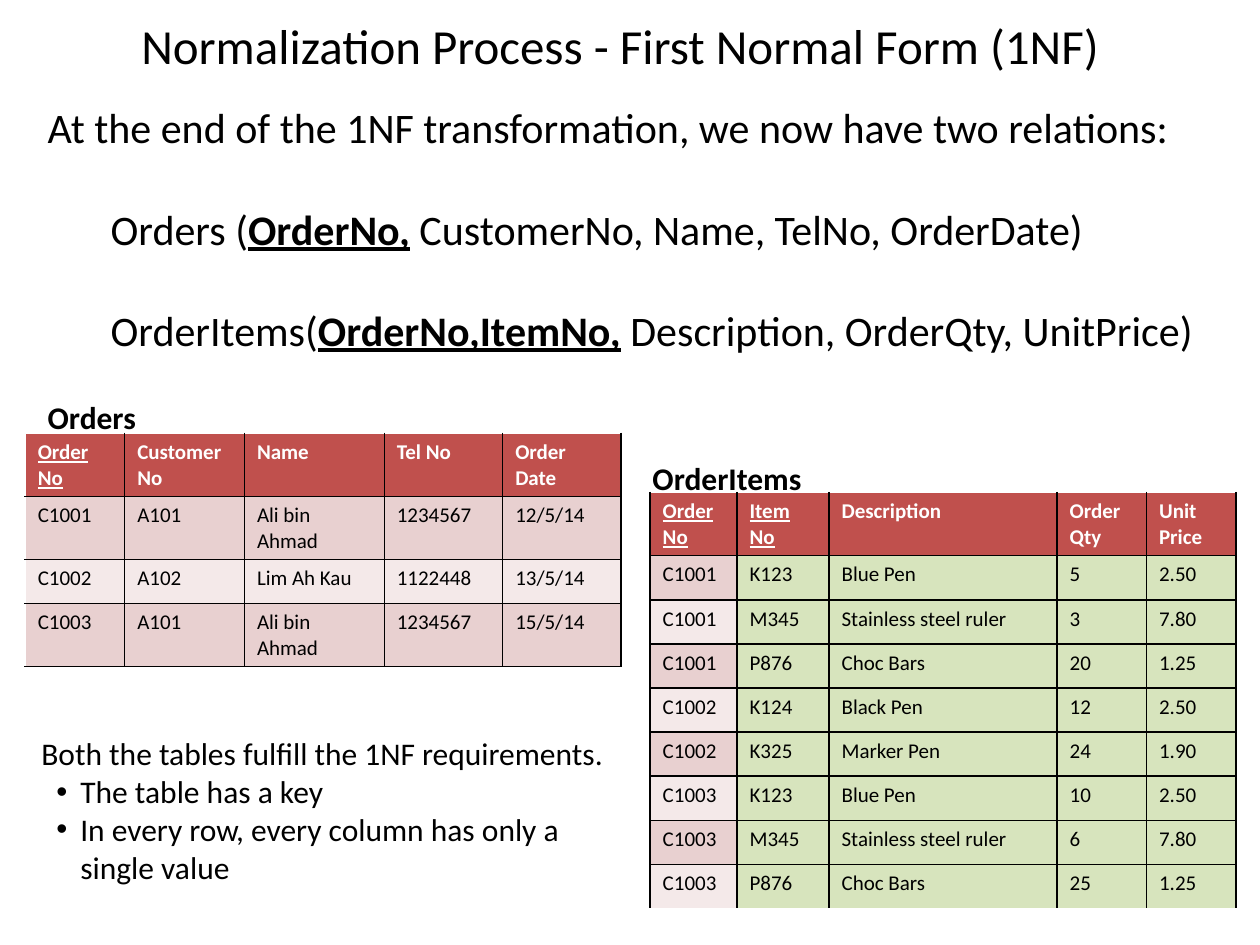
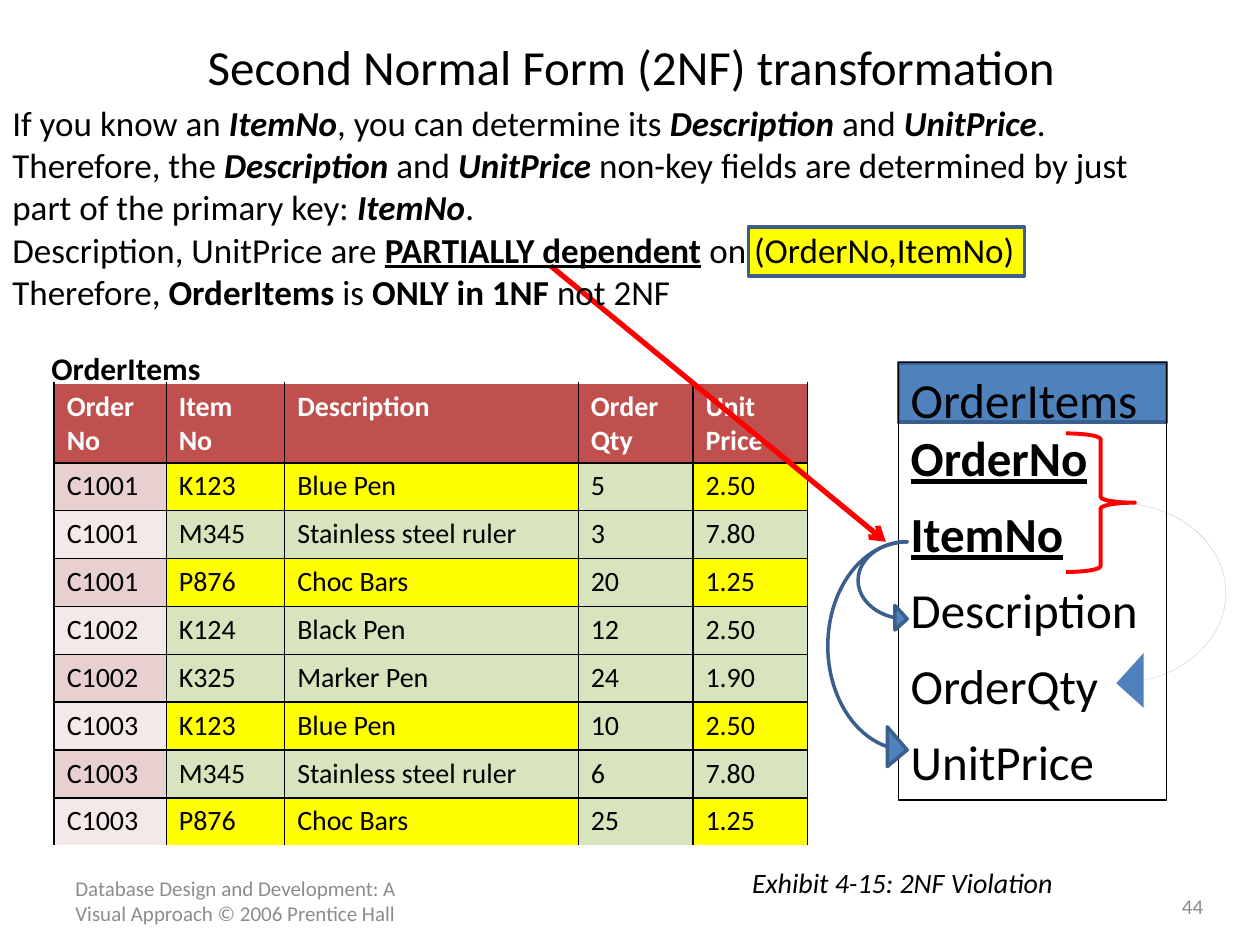
from typing import NamedTuple, Optional

import lxml.etree
import pptx
import pptx.dml.color
import pptx.enum.shapes
import pptx.enum.text
import pptx.oxml.ns
import pptx.util

Inches = pptx.util.Inches
Pt = pptx.util.Pt
SHAPE = pptx.enum.shapes.MSO_SHAPE
ALIGN = pptx.enum.text.PP_ALIGN
ANCHOR = pptx.enum.text.MSO_ANCHOR
qn = pptx.oxml.ns.qn

FONT = "Calibri"
C = {
    "black": "000000",
    "white": "FFFFFF",
    "grey": "8C8C8C",
    "header": "C0504D",
    "pink": "E8D0D0",
    "pale": "F4E9E9",
    "green": "D7E4BD",
    "yellow": "FFFF00",
    "blue": "4F81BD",
    "outline": "3A5F8C",
    "red": "FF0000",
}


class Box(NamedTuple):
    left: float
    top: float
    width: float
    height: float

    def emu(self) -> list:
        return [Inches(v) for v in self]


class Run(NamedTuple):
    text: str
    bold: bool = False
    italic: bool = False
    underline: bool = False


class Para(NamedTuple):
    runs: list
    before: float = 0
    margin: float = 0
    bullet: bool = False


class Shape(NamedTuple):
    kind: int
    box: Box
    fill: Optional[str] = None
    line: Optional[str] = None
    weight: float = 2
    flip: bool = False


class Table(NamedTuple):
    box: Box
    widths: list
    head_height: float
    row_height: float
    size: float
    rows: list
    keys: int = 0                 # leading header cells to underline
    item_table: bool = True
    marked: tuple = ()            # item numbers whose dependent cells are highlighted


ORDERS = [
    ["Order No", "Customer\nNo", "Name", "Tel No", "Order Date"],
    ["C1001", "A101", "Ali bin Ahmad", "1234567", "12/5/14"],
    ["C1002", "A102", "Lim Ah Kau", "1122448", "13/5/14"],
    ["C1003", "A101", "Ali bin Ahmad", "1234567", "15/5/14"],
]
ITEMS = {
    "K123": ("Blue Pen", "2.50"),
    "M345": ("Stainless steel ruler", "7.80"),
    "P876": ("Choc Bars", "1.25"),
    "K124": ("Black Pen", "2.50"),
    "K325": ("Marker Pen", "1.90"),
}
ORDER_LINES = [
    ("C1001", "K123", "5"), ("C1001", "M345", "3"), ("C1001", "P876", "20"),
    ("C1002", "K124", "12"), ("C1002", "K325", "24"),
    ("C1003", "K123", "10"), ("C1003", "M345", "6"), ("C1003", "P876", "25"),
]
ORDER_ITEMS = [["Order No", "Item No", "Description", "Order\nQty", "Unit\nPrice"]] + [
    [order, item, ITEMS[item][0], qty, ITEMS[item][1]] for order, item, qty in ORDER_LINES
]


def rgb(name: str):
    return pptx.dml.color.RGBColor.from_string(C[name])


def plain(text: str) -> list:
    return [Para([Run(line)]) for line in text.split("\n")]


def write(tf, text, size: float = 18, color: str = "black", bold: bool = False,
          italic: bool = False, underline: bool = False, align=ALIGN.LEFT) -> None:
    """Fill a text frame from a string or a list of Para."""
    paras = plain(text) if isinstance(text, str) else text
    for n, para in enumerate(paras):
        p = tf.add_paragraph() if n else tf.paragraphs[0]
        p.alignment = align
        if para.before:
            p.space_before = Pt(para.before)
        pPr = p._p.get_or_add_pPr()
        if para.margin:
            pPr.set("marL", str(Inches(para.margin)))
        if para.bullet:
            pPr.set("indent", str(Inches(-0.19)))
            lxml.etree.SubElement(pPr, qn("a:buFont"), typeface="Arial")
            lxml.etree.SubElement(pPr, qn("a:buChar"), char="•")
        for run in para.runs:
            r = p.add_run()
            r.text = run.text
            r.font.name, r.font.size = FONT, Pt(size)
            r.font.color.rgb = rgb(color)
            r.font.bold = bold or run.bold
            r.font.italic = italic or run.italic
            r.font.underline = underline or run.underline


def add_text(slide, box: Box, text, wrap: bool = True, anchor=ANCHOR.TOP, **fmt) -> None:
    tf = slide.shapes.add_textbox(*box.emu()).text_frame
    tf.word_wrap = wrap
    tf.vertical_anchor = anchor
    write(tf, text, **fmt)


def add_title(slide, box: Box, text: str) -> None:
    add_text(slide, box, text, anchor=ANCHOR.MIDDLE, size=28, align=ALIGN.CENTER)


def add_label(slide, left: float, top: float, text: str) -> None:
    add_text(slide, Box(left, top, 1.39 if text == "OrderItems" else 0.91, 0.4), text,
             wrap=False, bold=True)


def add_shape(slide, shape: Shape):
    sp = slide.shapes.add_shape(shape.kind, *shape.box.emu())
    sp.shadow.inherit = False
    if shape.kind == SHAPE.CURVED_RIGHT_ARROW:
        for n, value in enumerate((0, 0.5, 0.25)):
            sp.adjustments[n] = value
    if shape.fill:
        sp.fill.solid()
        sp.fill.fore_color.rgb = rgb(shape.fill)
    else:
        sp.fill.background()
    if shape.line:
        sp.line.color.rgb = rgb(shape.line)
        sp.line.width = Pt(shape.weight)
    else:
        sp.line.fill.background()
    if shape.flip:
        sp._element.spPr.find(qn("a:xfrm")).set("flipH", "1")
    return sp


def add_arrow(slide, start: tuple, end: tuple, color: str, weight: float) -> None:
    cx = slide.shapes.add_connector(pptx.enum.shapes.MSO_CONNECTOR.STRAIGHT,
                                    *[Inches(v) for v in start + end])
    cx.line.color.rgb = rgb(color)
    cx.line.width = Pt(weight)
    lxml.etree.SubElement(cx.line._get_or_add_ln(), qn("a:tailEnd"), type="arrow")
    lxml.etree.SubElement(cx._element.spPr, qn("a:effectLst"))


def set_borders(cell, white_sides: str) -> None:
    """Draw 1 pt borders, black except on the given sides (letters of LRTB)."""
    tcPr = cell._tc.get_or_add_tcPr()
    for side in "LRTB":
        ln = lxml.etree.SubElement(tcPr, qn("a:ln" + side), w=str(Pt(1)))
        fill = lxml.etree.SubElement(ln, qn("a:solidFill"))
        color = "white" if side in white_sides else "black"
        lxml.etree.SubElement(fill, qn("a:srgbClr"), val=C[color])


def cell_fill(table: Table, row: int, col: int) -> str:
    if row == 0:
        return "header"
    if table.item_table and col > 0:
        dependent = col in (1, 2, 4) and table.rows[row][1] in table.marked
        return "yellow" if dependent else "green"
    return "pink" if row % 2 else "pale"


def add_table(slide, table: Table) -> None:
    tbl = slide.shapes.add_table(len(table.rows), len(table.widths), *table.box.emu()).table
    tbl.horz_banding = False
    for col, width in zip(tbl.columns, table.widths):
        col.width = Inches(width)
    for i, values in enumerate(table.rows):
        head = i == 0
        tbl.rows[i].height = Inches(table.head_height if head else table.row_height)
        for j, value in enumerate(values):
            cell = tbl.cell(i, j)
            sides = "T" if head else ""
            if table.item_table and i == len(table.rows) - 1:
                sides += "B"
            if not table.item_table and j == 0:
                sides += "L"
            set_borders(cell, sides)
            cell.fill.solid()
            cell.fill.fore_color.rgb = rgb(cell_fill(table, i, j))
            write(cell.text_frame, value, size=table.size, bold=head,
                  color="white" if head else "black", underline=head and j < table.keys)


def build_first_form(slide) -> None:
    add_title(slide, Box(0.67, 0, 8.5, 0.71), "Normalization Process - First Normal Form (1NF)")
    add_text(slide, Box(0.28, 0.76, 9.45, 2.52), [
        Para([Run("At the end of the 1NF transformation, we now have two relations:")]),
        Para([Run("Orders ("), Run("OrderNo,", bold=True, underline=True),
              Run(" CustomerNo, Name, TelNo, OrderDate)")], before=29, margin=0.5),
        Para([Run("OrderItems("), Run("OrderNo,ItemNo,", bold=True, underline=True),
              Run(" Description, OrderQty, UnitPrice)")], before=29, margin=0.5),
    ], size=24)
    add_table(slide, Table(Box(0.2, 3.44, 4.72, 1.85), [0.79, 0.95, 1.11, 0.94, 0.94],
                           0.49, 0.35, 12, ORDERS, keys=1, item_table=False))
    add_table(slide, Table(Box(5.16, 3.91, 4.65, 3.33), [0.69, 0.73, 1.81, 0.71, 0.71],
                           0.49, 0.35, 12, ORDER_ITEMS, keys=2))
    add_label(slide, 0.28, 3.11, "Orders")
    add_label(slide, 5.08, 3.59, "OrderItems")
    add_text(slide, Box(0.23, 5.78, 4.84, 1.31), [
        Para([Run("Both the tables fulfill the 1NF requirements.")]),
        Para([Run("The table has a key")], margin=0.31, bullet=True),
        Para([Run("In every row, every column has only a single value")], margin=0.31, bullet=True),
    ])


def build_second_form(slide) -> None:
    add_shape(slide, Shape(SHAPE.RECTANGLE, Box(5.94, 1.8, 2.19, 0.39), "yellow", "outline"))
    add_text(slide, Box(0.5, 6.95, 2.94, 0.4),
             "Database Design and Development: A Visual Approach © 2006 Prentice Hall",
             anchor=ANCHOR.MIDDLE, size=12, color="grey")
    add_title(slide, Box(0.51, 0.21, 9, 0.63), "Second Normal Form (2NF) transformation")
    add_text(slide, Box(5.87, 6.82, 2.68, 0.37), "Exhibit 4-15: 2NF Violation", size=16, italic=True)
    add_text(slide, Box(9.17, 7.03, 0.59, 0.32), "44", anchor=ANCHOR.MIDDLE, size=12,
             color="grey", align=ALIGN.CENTER)

    add_shape(slide, Shape(SHAPE.RECTANGLE, Box(7.13, 2.88, 2.13, 0.47), "blue", "outline"))
    relation = add_shape(slide, Shape(SHAPE.RECTANGLE, Box(7.13, 2.88, 2.13, 3.47),
                                      line="black", weight=0.75))
    tf = relation.text_frame
    tf.word_wrap = True
    tf.vertical_anchor = ANCHOR.TOP
    fields = [Para([Run(name, bold=key, underline=key)], before=9.75 if n else 0)
              for n, (name, key) in enumerate([("OrderNo", True), ("ItemNo", True),
                                               ("Description", False), ("OrderQty", False),
                                               ("UnitPrice", False)])]
    write(tf, plain("OrderItems") + fields, size=28)
    for shape in (
        Shape(SHAPE.CURVED_RIGHT_ARROW, Box(6.81, 4.3, 0.39, 0.71), "blue", "outline"),
        Shape(SHAPE.CURVED_RIGHT_ARROW, Box(6.57, 4.3, 0.63, 1.81), "blue", "outline"),
        Shape(SHAPE.RIGHT_BRACE, Box(8.46, 3.44, 0.55, 1.1), line="red", weight=2.25),
        Shape(SHAPE.CURVED_RIGHT_ARROW, Box(8.86, 3.99, 0.87, 1.65), "blue", flip=True),
    ):
        add_shape(slide, shape)

    add_table(slide, Table(Box(0.43, 3.04, 5.98, 3.64), [0.89, 0.94, 2.33, 0.91, 0.91],
                           0.53, 0.38, 16, ORDER_ITEMS, marked=("K123", "P876")))
    add_label(slide, 0.31, 2.72, "OrderItems")
    add_arrow(slide, (4.37, 2.11), (7.03, 4.3), "red", 3)

    item, description, price = [Run(name, bold=True, italic=True)
                                for name in ("ItemNo", "Description", "UnitPrice")]
    add_text(slide, Box(0, 0.76, 9.53, 1.78), [
        Para([Run("If you know an "), item, Run(", you can determine its "), description,
              Run(" and "), price, Run(".")]),
        Para([Run("Therefore, the "), description, Run(" and "), price,
              Run(" non-key fields are determined by just part of the primary key: "),
              item, Run(".")]),
        Para([Run("Description, UnitPrice are "),
              Run("PARTIALLY dependent", bold=True, underline=True),
              Run(" on (OrderNo,ItemNo)")]),
        Para([Run("Therefore, "), Run("OrderItems", bold=True), Run(" is "),
              Run("ONLY in 1NF", bold=True), Run(" not 2NF")]),
    ], size=20)


def main() -> None:
    prs = pptx.Presentation()
    prs.slide_width, prs.slide_height = Inches(10), Inches(7.5)
    for build in (build_first_form, build_second_form):
        build(prs.slides.add_slide(prs.slide_layouts[6]))
    prs.save("out.pptx")


if __name__ == "__main__":
    main()
